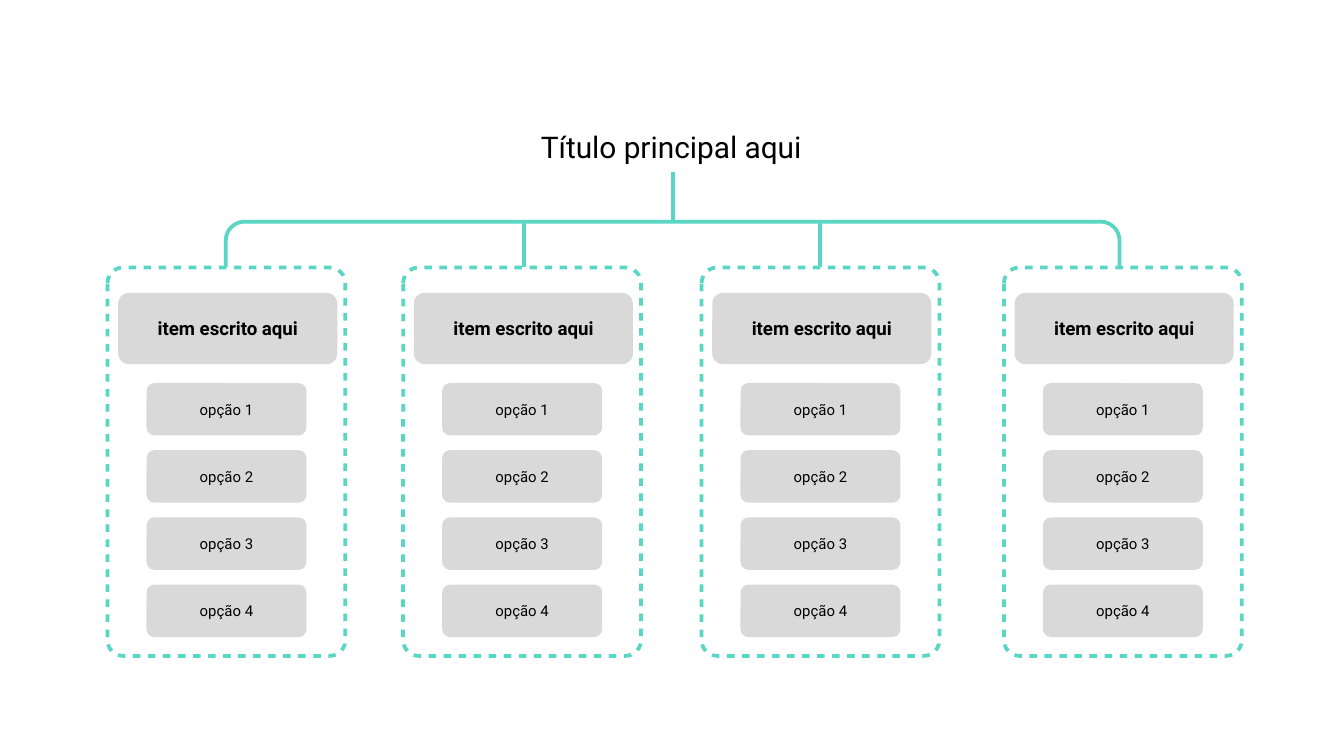
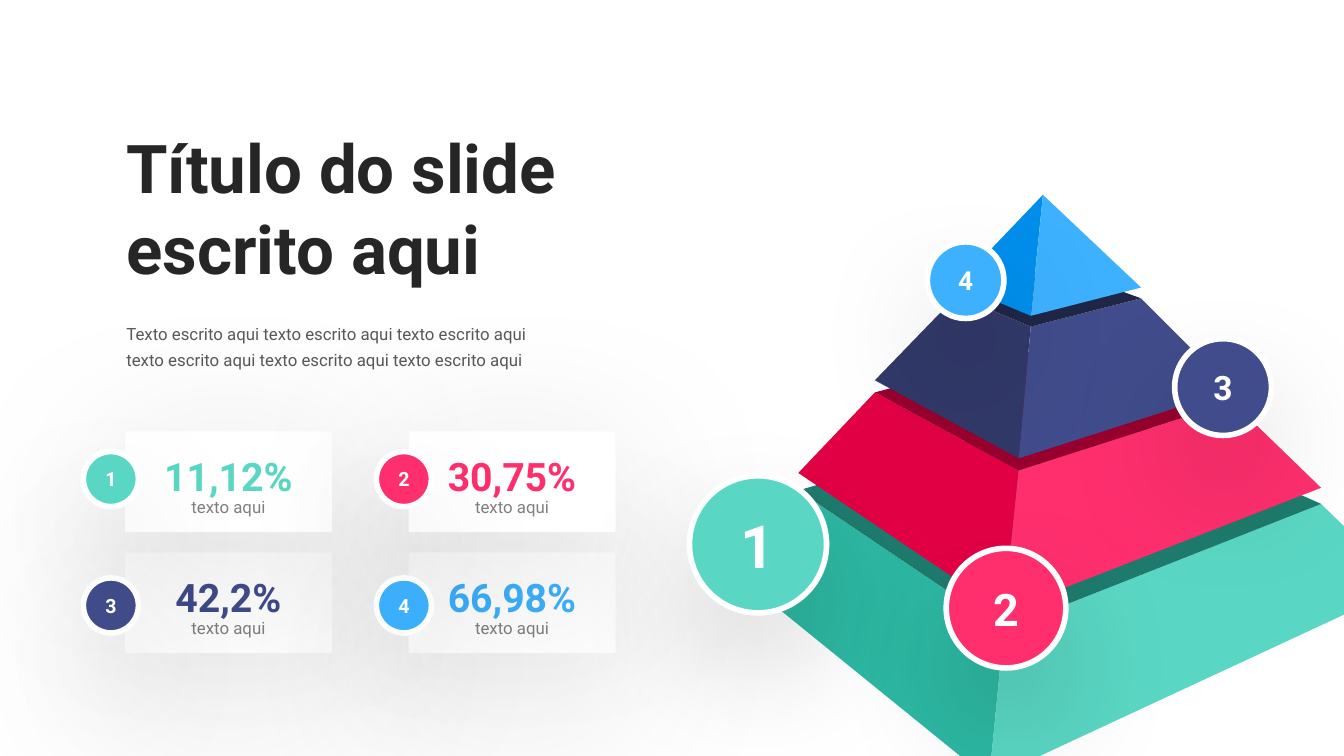
from dataclasses import dataclass
from math import cos, pi, sin
from typing import NamedTuple

from lxml.etree import SubElement
from pptx import Presentation
from pptx.dml.color import RGBColor
from pptx.enum.shapes import MSO_CONNECTOR, MSO_SHAPE
from pptx.enum.text import MSO_ANCHOR, MSO_AUTO_SIZE, PP_ALIGN
from pptx.oxml.ns import qn
from pptx.util import Inches, Pt


class Box(NamedTuple):
    """Place and size in inches."""
    left: float
    top: float
    width: float
    height: float

    def inside(self, left, top, width, height):
        """Return a box given relative to this one."""
        return Box(self.left + left, self.top + top, width, height)

    def emu(self):
        """Return the four lengths for python-pptx."""
        return [Inches(length) for length in self]


class Style(NamedTuple):
    """Size, colour and weight of a text."""
    size: float
    color: str
    bold: bool = False


class Shadow(NamedTuple):
    """Blur and distance of a soft shadow below a shape, in points."""
    blur: float
    distance: float


class Tier(NamedTuple):
    """Corners and face colours of one pyramid level."""
    left_base: tuple
    left_top: tuple
    front_top: tuple
    front_base: tuple
    right_base: tuple
    right_top: tuple
    back: tuple
    left_color: str
    right_color: str
    top_color: str


@dataclass(frozen=True)
class Theme:
    """Colours and type used on both slides."""
    font: str = "Roboto"
    white: str = "FFFFFF"
    panel: str = "D9D9D9"
    teal: str = "5AD7C4"
    pink: str = "FF2F6E"
    navy: str = "414C8C"
    blue: str = "3DB1FE"
    tree_title: Style = Style(16, "000000")
    item: Style = Style(10, "000000", True)
    option: Style = Style(8, "000000")
    title: Style = Style(36, "262626", True)
    body: Style = Style(9, "595959")
    caption: Style = Style(9, "808080")
    card_shadow: Shadow = Shadow(100, 21)
    badge_shadow: Shadow = Shadow(66, 30)


THEME = Theme()
LEVEL_COLORS = {1: THEME.teal, 2: THEME.pink, 3: THEME.navy, 4: THEME.blue}
COLUMN_LEFTS = [0.8, 3, 5.22, 7.47]
STEM_LEFTS = [3.9, 6.1]
OPTIONS = ["opção 1", "opção 2", "opção 3", "opção 4"]
BODY_TEXT = ("Texto escrito aqui texto escrito aqui texto escrito aqui "
             "texto escrito aqui texto escrito aqui texto escrito aqui")
CARDS = [
    (3, "42,2%", 0, 1), (4, "66,98%", 1, 1),
    (1, "11,12%", 0, 0), (2, "30,75%", 1, 0),
]
APEX = (2.36, 0)
TIERS = [
    Tier((0, 2.76), (0.54, 2.2), (2.07, 3.23), (1.96, 4.35), (5.06, 2.91),
         (4.43, 2.3), (2.74, 1.55), "2DB8A3", THEME.teal, "1E7B6D"),
    Tier((0.54, 2.07), (1.11, 1.47), (2.18, 2.05), (2.07, 3.1), (4.43, 2.18),
         (3.77, 1.54), (2.63, 1.07), "E20045", THEME.pink, "97002E"),
    Tier((1.11, 1.38), (1.72, 0.75), (2.27, 0.98), (2.18, 1.96), (3.77, 1.45),
         (3.09, 0.77), (2.51, 0.56), "313969", THEME.navy, "202646"),
    Tier((1.72, 0.67), APEX, APEX, (2.27, 0.9), (3.09, 0.69),
         APEX, APEX, "018EEB", THEME.blue, ""),
]
PYRAMID_BADGES = [
    (4, 1.5, 0.35, 0.57, 14), (3, 3.34, 1.07, 0.72, 18),
    (1, -0.27, 2.09, 1.02, 32), (2, 1.64, 2.63, 0.89, 24),
]


def paint(shape, fill=None, line=None, width=2, shadow=None):
    """Set fill, outline and shadow of a shape."""
    shape.shadow.inherit = False
    if fill:
        shape.fill.solid()
        shape.fill.fore_color.rgb = RGBColor.from_string(fill)
    else:
        shape.fill.background()
    if line:
        shape.line.color.rgb = RGBColor.from_string(line)
        shape.line.width = Pt(width)
    else:
        shape.line.fill.background()
    if shadow:
        effects = shape.element.spPr.find(qn("a:effectLst"))
        outer = SubElement(effects, qn("a:outerShdw"), {
            "blurRad": str(Pt(shadow.blur)), "dist": str(Pt(shadow.distance)),
            "dir": "5400000", "algn": "t", "rotWithShape": "0"})
        color = SubElement(outer, qn("a:srgbClr"), val="000000")
        SubElement(color, qn("a:alpha"), val="15000")


def write(shape, text, style, align=PP_ALIGN.CENTER, spacing=1.0, inset=None, **frame_format):
    """Put one formatted paragraph in a shape."""
    frame = shape.text_frame
    frame.text = text
    values = {"word_wrap": True, **frame_format}
    if inset is not None:
        sides = ("left", "top", "right", "bottom")
        values.update({f"margin_{side}": Inches(inset) for side in sides})
    for name, value in values.items():
        setattr(frame, name, value)
    paragraph = frame.paragraphs[0]
    for name, value in {"alignment": align, "line_spacing": spacing, "space_before": Pt(0)}.items():
        setattr(paragraph, name, value)
    font = paragraph.runs[0].font
    for name, value in {"name": THEME.font, "size": Pt(style.size), "bold": style.bold}.items():
        setattr(font, name, value)
    font.color.rgb = RGBColor.from_string(style.color)


def fill_placeholder(placeholder, box, text, style, **text_format):
    """Move a template placeholder into a box and write in it."""
    for name, value in zip(("left", "top", "width", "height"), box.emu()):
        setattr(placeholder, name, value)
    write(placeholder, text, style, vertical_anchor=MSO_ANCHOR.TOP,
          auto_size=MSO_AUTO_SIZE.SHAPE_TO_FIT_TEXT, **text_format)


def add_outline(shapes, points, close=True):
    """Add a freeform through points given in inches."""
    corners = [(Inches(x), Inches(y)) for x, y in points]
    builder = shapes.build_freeform(*corners[0])
    builder.add_line_segments(corners[1:], close=close)
    return builder.convert_to_shape()


def add_rounded(shapes, box, radius, **look):
    """Add a rounded rectangle."""
    panel = shapes.add_shape(MSO_SHAPE.ROUNDED_RECTANGLE, *box.emu())
    panel.adjustments[0] = radius
    paint(panel, **look)
    return panel


def add_stem(shapes, x, top, bottom):
    """Add a vertical branch line."""
    stem = shapes.add_connector(
        MSO_CONNECTOR.STRAIGHT, Inches(x), Inches(top), Inches(x), Inches(bottom))
    stem.line.color.rgb = RGBColor.from_string(THEME.teal)
    stem.line.width = Pt(2)
    SubElement(stem.element.spPr, qn("a:effectLst"))


def add_bracket(shapes, box, radius=0.14, steps=8):
    """Add the bracket with rounded corners and its branch lines."""
    right, bottom = box.left + box.width, box.top + box.height
    points = [(box.left, bottom)]
    for center, start in ((box.left + radius, pi), (right - radius, pi / 2)):
        for step in range(steps + 1):
            angle = start - step * pi / 2 / steps
            points.append((center + radius * cos(angle),
                           box.top + radius * (1 - sin(angle))))
    points.append((right, bottom))
    paint(add_outline(shapes, points, close=False), line=THEME.teal)
    add_stem(shapes, box.left + box.width / 2, box.top - 0.37, box.top)
    for x in STEM_LEFTS:
        add_stem(shapes, x, box.top, bottom)


def add_column(shapes, box):
    """Add a dashed column with its heading and options."""
    column = shapes.add_group_shape().shapes
    frame = add_rounded(column, box, 0.066, line=THEME.teal)
    dashes = SubElement(frame.element.spPr.find(qn("a:ln")), qn("a:custDash"))
    SubElement(dashes, qn("a:ds"), d="200000", sp="200000")
    heading = add_rounded(column, box.inside(0.08, 0.19, 1.63, 0.53), 0.15, fill=THEME.panel)
    write(heading, "item escrito aqui", THEME.item, inset=0, vertical_anchor=MSO_ANCHOR.MIDDLE)
    for row, label in enumerate(OPTIONS):
        option = add_rounded(column, box.inside(0.29, 0.86 + 0.5 * row, 1.19, 0.39),
                             0.15, fill=THEME.panel)
        write(option, label, THEME.option, inset=0, vertical_anchor=MSO_ANCHOR.MIDDLE)


def add_badge(shapes, box, number, size):
    """Add a numbered circle in the colour of its level."""
    badge = shapes.add_shape(MSO_SHAPE.OVAL, *box.emu())
    paint(badge, LEVEL_COLORS[number], THEME.white, 3, THEME.badge_shadow)
    write(badge, str(number), Style(size, THEME.white, True), inset=0,
          vertical_anchor=MSO_ANCHOR.MIDDLE)


def add_pyramid(shapes, box):
    """Add the four pyramid levels and their badges."""
    for tier in TIERS:
        level = shapes.add_group_shape().shapes
        faces = [
            (tier.left_color, (tier.left_base, tier.left_top, tier.front_top, tier.front_base)),
            (tier.right_color, (tier.front_base, tier.right_base, tier.right_top, tier.front_top)),
            (tier.top_color, (tier.left_top, tier.front_top, tier.right_top, tier.back)),
        ]
        for color, corners in faces:
            if color:
                points = [(box.left + x, box.top + y) for x, y in dict.fromkeys(corners)]
                paint(add_outline(level, points), color)
    for number, left, top, side, size in PYRAMID_BADGES:
        add_badge(shapes, box.inside(left, top, side, side), number, size)


def add_card(shapes, box, value, color):
    """Add a white card with a percentage and its caption."""
    card = shapes.add_group_shape().shapes
    add_rounded(card, box, 0.016, fill=THEME.white, shadow=THEME.card_shadow)
    for text, place, style in (
        ("texto aqui", (0.07, 0.41, 1.4, 0.28), THEME.caption),
        (value, (0.14, 0.04, 1.26, 0.51), Style(21, color, True)),
    ):
        label = card.add_textbox(*box.inside(*place).emu())
        write(label, text, style, spacing=1.2, auto_size=MSO_AUTO_SIZE.SHAPE_TO_FIT_TEXT)


def add_cards(shapes, box):
    """Add the two by two cards, then the badges on their edges."""
    for number, value, column, row in CARDS:
        add_card(shapes, box.inside(0.31 + 2.11 * column, 0.9 * row, 1.54, 0.75),
                 value, LEVEL_COLORS[number])
    for number, _, column, row in CARDS:
        add_badge(shapes, box.inside(2.18 * column, 0.15 + 0.94 * row, 0.41, 0.41), number, 10.5)


def build_tree_slide(deck):
    """Build the slide with four branches."""
    slide = deck.slides.add_slide(deck.slide_layouts[5])
    fill_placeholder(slide.shapes.title, Box(3.71, 0.94, 2.57, 0.31),
                     "Título principal aqui", THEME.tree_title, inset=0.02)
    add_bracket(slide.shapes, Box(1.68, 1.65, 6.65, 0.34))
    for left in COLUMN_LEFTS:
        add_column(slide.shapes, Box(left, 1.99, 1.77, 2.89))


def build_pyramid_slide(deck):
    """Build the slide with the cards and the pyramid."""
    slide = deck.slides.add_slide(deck.slide_layouts[1])
    body = slide.placeholders[1]
    fill_placeholder(slide.shapes.title, Box(0.84, 0.89, 3.95, 1.31),
                     "Título do slide escrito aqui", THEME.title, align=PP_ALIGN.LEFT)
    fill_placeholder(body, Box(0.84, 2.31, 3.28, 0.48), BODY_TEXT,
                     THEME.body, align=PP_ALIGN.LEFT, spacing=1.3)
    properties = body.text_frame.paragraphs[0]._p.get_or_add_pPr()
    properties.set("marL", "0")
    properties.set("indent", "0")
    SubElement(properties, qn("a:buNone"))
    add_cards(slide.shapes, Box(0.62, 3.21, 3.96, 1.65))
    add_pyramid(slide.shapes, Box(5.4, 1.45, 5.06, 4.35))


def main():
    """Build and save the presentation."""
    deck = Presentation()
    deck.slide_width = Inches(10)
    deck.slide_height = deck.slide_width * 9 // 16
    build_tree_slide(deck)
    build_pyramid_slide(deck)
    deck.save("out.pptx")


if __name__ == "__main__":
    main()
